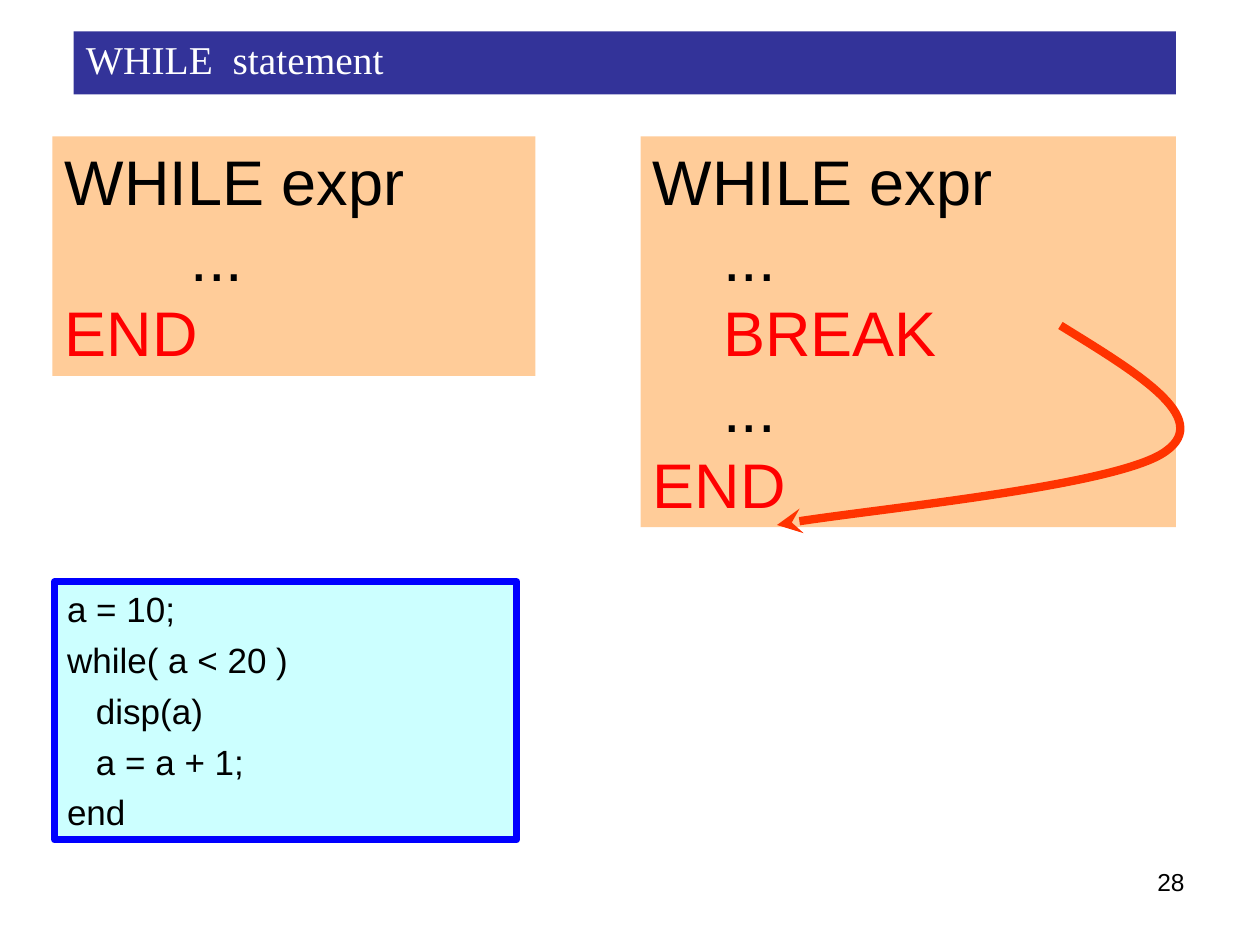
"""Build the WHILE statement slide."""
from pptx import Presentation, util as u
from pptx.dml.color import RGBColor
from pptx.enum import shapes, text
from pptx.oxml import ns, xmlchemy

THEME = {
    "banner": "333399", "panel": "FFCC99", "code": "CCFFFF", "frame": "0000FF",
    "ink": "000000", "light": "FFFFFF", "keyword": "FF0000", "jump": "FF3300",
    "sans": "Arial", "serif": "Times New Roman",
    "title_size": 22.5, "syntax_size": 36, "code_size": 20, "number_size": 14,
    "frame_width": 4, "jump_width": 4.75,
}
COLUMNS, ROWS = 120, 90
SYNTAX = {"size": "syntax_size", "fill": "panel", "fit": True}

# Each line of a block is (words, indent in inches, colour).
BLOCKS = [
    {"place": (86, 82, 28, 6.2), "size": "number_size",
     "lines": [("28", 0, "ink")],
     "format": {"alignment": text.PP_ALIGN.RIGHT}},
    {"place": (7, 3, 105, 6), "size": "title_size", "fill": "banner",
     "font": "serif", "anchor": text.MSO_ANCHOR.MIDDLE,
     "lines": [("WHILE  statement", 0, "light")],
     "format": {"line_spacing": 0.8}},
    {"place": (5, 13, 46, 22.8), **SYNTAX,
     "lines": [("WHILE expr", 0, "ink"), ("...", 1, "ink"), ("END", 0, "keyword")]},
    {"place": (5.2, 55.4, 44, 24.6), "size": "code_size", "fill": "code",
     "line": "frame", "fit": True,
     "lines": [("a = 10;", 0, "ink"), ("while( a < 20 )", 0, "ink"),
               ("disp(a)", 0.23, "ink"), ("a = a + 1;", 0.23, "ink"),
               ("end", 0, "ink")],
     "format": {"space_before": u.Pt(5)}},
    {"place": (61, 13, 51, 37.2), **SYNTAX,
     "lines": [("WHILE expr", 0, "ink"), ("...", 0.56, "ink"),
               ("BREAK", 0.56, "keyword"), ("...", 0.56, "ink"),
               ("END", 0, "keyword")]},
]
JUMP_START = (101, 31)
JUMP_CURVES = [(108.1, 35.4), (115.6, 39.8), (111, 43),
               (106.6, 46.2), (80.2, 48.8), (74, 50)]


def color(name):
    return RGBColor.from_string(THEME[name])


def assign(target, values):
    for name, value in values.items():
        setattr(target, name, value)


def add_block(slide, block, cell):
    box = [round(part * cell) for part in block["place"]]
    if "fill" in block:
        panel = slide.shapes.add_shape(shapes.MSO_SHAPE.RECTANGLE, *box)
        panel.shadow.inherit = False
        panel.fill.solid()
        panel.fill.fore_color.rgb = color(block["fill"])
        if "line" in block:
            panel.line.color.rgb = color(block["line"])
            panel.line.width = u.Pt(THEME["frame_width"])
        else:
            panel.line.fill.background()
    else:
        panel = slide.shapes.add_textbox(*box)
    frame = panel.text_frame
    fit = text.MSO_AUTO_SIZE.SHAPE_TO_FIT_TEXT if block.get("fit") else text.MSO_AUTO_SIZE.NONE
    assign(frame, {"word_wrap": True, "auto_size": fit,
                   "vertical_anchor": block.get("anchor", text.MSO_ANCHOR.TOP)})
    for index, (words, indent, ink) in enumerate(block["lines"]):
        line = frame.add_paragraph() if index else frame.paragraphs[0]
        assign(line, {"alignment": text.PP_ALIGN.LEFT, **block.get("format", {})})
        properties = line._p.get_or_add_pPr()
        properties.set("marL", str(u.Inches(indent)))
        properties.set("indent", "0")
        run = line.add_run()
        run.text = words
        assign(run.font, {"size": u.Pt(THEME[block["size"]]),
                          "name": THEME[block.get("font", "sans")]})
        run.font.color.rgb = color(ink)


def add_jump(slide, cell):
    start, *points = [(round(x * cell), round(y * cell))
                      for x, y in [JUMP_START, *JUMP_CURVES]]
    builder = slide.shapes.build_freeform(*start)
    builder.add_line_segments(points, close=False)
    jump = builder.convert_to_shape()
    jump.shadow.inherit = False
    jump.fill.background()
    jump.line.color.rgb = color("jump")
    jump.line.width = u.Pt(THEME["jump_width"])
    segments = jump._element.xpath(".//a:lnTo")
    for first in range(0, len(segments), 3):
        curve = xmlchemy.OxmlElement("a:cubicBezTo")
        segments[first].addprevious(curve)
        for segment in segments[first:first + 3]:
            curve.append(segment[0])
            segment.getparent().remove(segment)
    head = xmlchemy.OxmlElement("a:tailEnd")
    head.set("type", "stealth")
    jump._element.spPr.find(ns.qn("a:ln")).append(head)


def main():
    deck = Presentation()
    assign(deck, {"slide_width": u.Inches(10), "slide_height": u.Inches(7.5)})
    slide = deck.slides.add_slide(deck.slide_layouts[6])
    cell = min(deck.slide_width / COLUMNS, deck.slide_height / ROWS)
    for block in BLOCKS:
        add_block(slide, block, cell)
    add_jump(slide, cell)
    deck.save("out.pptx")


if __name__ == "__main__":
    main()
